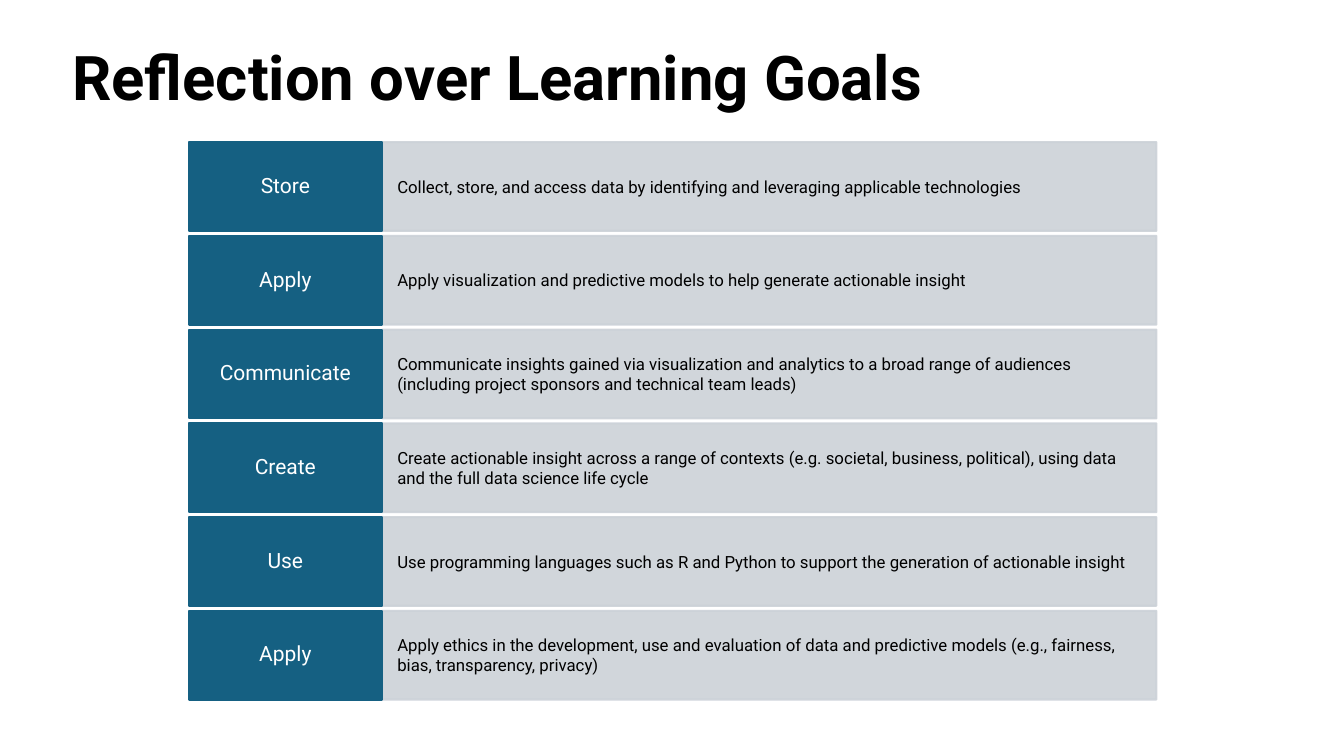
"""Build the slide of learning goals as labelled bands."""
import dataclasses

import lxml.etree
import pptx
import pptx.dml.color
import pptx.enum.shapes
import pptx.enum.text
import pptx.oxml.ns
import pptx.shapes.autoshape
import pptx.slide
import pptx.util

Inches = pptx.util.Inches
Pt = pptx.util.Pt
RGBColor = pptx.dml.color.RGBColor
Align = pptx.enum.text.PP_ALIGN
Anchor = pptx.enum.text.MSO_ANCHOR

TEAL = RGBColor(0x15, 0x60, 0x82)
GREY = RGBColor(0xCC, 0xD2, 0xD8)
BLACK = RGBColor(0x00, 0x00, 0x00)
WHITE = RGBColor(0xFF, 0xFF, 0xFF)
FONT = "Roboto"
TOP, STEP, HEIGHT = 1.41, 0.93, 0.88


@dataclasses.dataclass(frozen=True)
class Goal:
    label: str
    detail: str


@dataclasses.dataclass(frozen=True)
class Style:
    left: float
    width: float
    fill: RGBColor
    alpha: int
    ink: RGBColor
    size: int
    align: Align
    space: float
    pad_x: float
    pad_y: float


LABEL = Style(1.87, 1.92, TEAL, 100, WHITE, 15, Align.CENTER, 0.9, 0.1, 0.09)
DETAIL = Style(3.79, 7.68, GREY, 90, BLACK, 12, Align.LEFT, 1.0, 0.15, 0.22)

GOALS = [
    Goal("Store", "Collect, store, and access data by identifying and leveraging "
         "applicable technologies"),
    Goal("Apply", "Apply visualization and predictive models to help generate "
         "actionable insight"),
    Goal("Communicate", "Communicate insights gained via visualization and analytics "
         "to a broad range of audiences (including project sponsors and technical "
         "team leads)"),
    Goal("Create", "Create actionable insight across a range of contexts (e.g. "
         "societal, business, political), using data and the full data science "
         "life cycle"),
    Goal("Use", "Use programming languages such as R and Python to support the "
         "generation of actionable insight"),
    Goal("Apply", "Apply ethics in the development, use and evaluation of data and "
         "predictive models (e.g., fairness, bias, transparency, privacy)"),
]


def write(shape: pptx.shapes.autoshape.Shape, text: str, size: int, ink: RGBColor,
          align: Align, space: float, bold: bool = False) -> None:
    """Put one styled run into a shape."""
    shape.text_frame.word_wrap = True
    para = shape.text_frame.paragraphs[0]
    para.alignment = align
    para.line_spacing = space
    run = para.add_run()
    run.text = text
    run.font.name = FONT
    run.font.size = Pt(size)
    run.font.bold = bold
    run.font.color.rgb = ink


def fade(shape: pptx.shapes.autoshape.Shape, alpha: int) -> None:
    """Set the opacity of fill and line in percent."""
    for color in shape.element.spPr.iter(pptx.oxml.ns.qn("a:srgbClr")):
        mark = lxml.etree.SubElement(color, pptx.oxml.ns.qn("a:alpha"))
        mark.set("val", str(alpha * 1000))


def draw_cell(slide: pptx.slide.Slide, style: Style, top: float, text: str) -> None:
    """Draw one filled cell with its text."""
    cell = slide.shapes.add_shape(
        pptx.enum.shapes.MSO_SHAPE.RECTANGLE, Inches(style.left), Inches(top),
        Inches(style.width), Inches(HEIGHT))
    cell.shadow.inherit = False
    cell.fill.solid()
    cell.fill.fore_color.rgb = style.fill
    cell.line.color.rgb = style.fill
    cell.line.width = Pt(1.5)
    if style.alpha < 100:
        fade(cell, style.alpha)
    frame = cell.text_frame
    frame.margin_left = frame.margin_right = Inches(style.pad_x)
    frame.margin_top = frame.margin_bottom = Inches(style.pad_y)
    frame.vertical_anchor = Anchor.MIDDLE
    write(cell, text, style.size, style.ink, style.align, style.space)


def draw_title(slide: pptx.slide.Slide, text: str) -> None:
    """Draw the heading."""
    title = slide.shapes.add_textbox(Inches(0.62), Inches(0.42), Inches(11.5), Inches(1.24))
    title.text_frame.vertical_anchor = Anchor.TOP
    write(title, text, 44, BLACK, Align.LEFT, 0.9, bold=True)


def main() -> None:
    """Build and save the deck."""
    deck = pptx.Presentation()
    deck.slide_width = Inches(13.33)
    deck.slide_height = Inches(7.5)
    slide = deck.slides.add_slide(deck.slide_layouts[6])
    for row, goal in enumerate(GOALS):
        top = TOP + row * STEP
        draw_cell(slide, DETAIL, top, goal.detail)
        draw_cell(slide, LABEL, top, goal.label)
    draw_title(slide, "Reflection over Learning Goals")
    deck.save("out.pptx")


if __name__ == "__main__":
    main()
